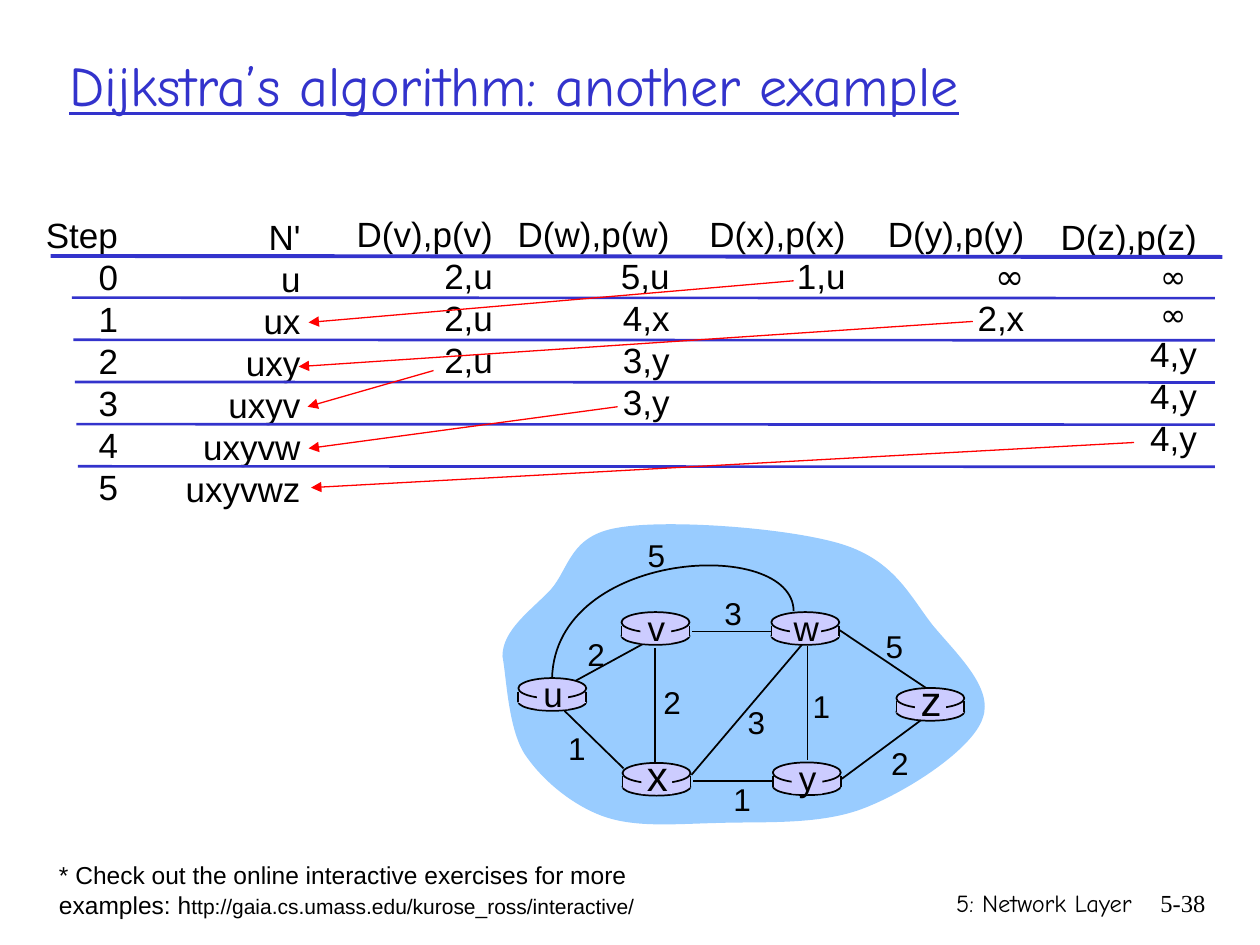
from lxml.etree import SubElement
from pptx import Presentation
from pptx.dml.color import RGBColor
from pptx.enum.shapes import MSO_CONNECTOR as LINE, MSO_SHAPE as SHAPE
from pptx.enum.text import MSO_ANCHOR as ANCHOR, MSO_AUTO_SIZE as FIT, PP_ALIGN as ALIGN
from pptx.oxml.ns import qn
from pptx.util import Cm, Pt

BLUE = RGBColor(0x33, 0x33, 0xCC)
BLACK = RGBColor(0, 0, 0)
RED = RGBColor(0xFF, 0, 0)
SKY = RGBColor(0x99, 0xCC, 0xFF)
LILAC = RGBColor(0xCC, 0xCC, 0xFF)
COMIC = "Comic Neue"

deck = Presentation()
deck.slide_width, deck.slide_height = Cm(25.4), Cm(19.05)
slide = deck.slides.add_slide(deck.slide_layouts[5])
shapes = slide.shapes


def write_text(text, left, top, width, height, size=20, font="Arial",
               align=ALIGN.CENTER, wrap=False):
    frame = shapes.add_textbox(Cm(left), Cm(top), Cm(width), Cm(height)).text_frame
    frame.word_wrap = wrap
    frame.auto_size = FIT.NONE if wrap else FIT.SHAPE_TO_FIT_TEXT
    frame.text = text
    for paragraph in frame.paragraphs:
        paragraph.alignment = align
        paragraph.line_spacing = Pt(1.2 * size)
        for run in paragraph.runs:
            run.font.size, run.font.name = Pt(size), font
            run.font.color.rgb = BLACK
    return frame


def draw_line(x1, y1, x2, y2, color=BLACK, weight=1, arrow=False):
    line = shapes.add_connector(LINE.STRAIGHT, Cm(x1), Cm(y1), Cm(x2), Cm(y2))
    line.line.color.rgb, line.line.width = color, Pt(weight)
    if arrow:
        SubElement(line.line._get_or_add_ln(), qn("a:tailEnd"), type="triangle")
    SubElement(line._element.spPr, qn("a:effectLst"))


# Title
title = shapes.title
title.left, title.top, title.width, title.height = Cm(1.14), Cm(0.36), Cm(23.85), Cm(2.67)
title.text_frame.text = "Dijkstra’s algorithm: another example"
title.text_frame.vertical_anchor = ANCHOR.MIDDLE
heading = title.text_frame.paragraphs[0]
heading.alignment = ALIGN.LEFT
heading_font = heading.runs[0].font
heading_font.size, heading_font.name, heading_font.underline = Pt(32), COMIC, True
heading_font.color.rgb = BLUE

# Columns of the step table
columns = [
    (0.67, 4.18, 1.96, ["Step", "0", "1", "2", "3", "4", "5"]),
    (3.49, 4.21, 2.82, ["N'", "u", "ux", "uxy", "uxyv", "uxyvw", "uxyvwz"]),
    (6.94, 4.16, 3.25, ["D(v),p(v)", "2,u", "2,u", "2,u"]),
    (9.95, 4.16, 3.8, ["D(w),p(w)", "5,u", "4,x", "3,y", "3,y"]),
    (14.05, 4.16, 3.25, ["D(x),p(x)", "1,u"]),
    (17.65, 4.16, 3.25, ["D(y),p(y)", "∞", "2,x"]),
    (21.13, 4.21, 3.25, ["D(z),p(z)", "∞ ", "∞ ", "4,y", "4,y", "4,y"]),
]
for left, top, width, entries in columns:
    column = write_text("\n".join(entries), left, top, width,
                        0.25 + 0.85 * len(entries), align=ALIGN.RIGHT)
    for entry in column.paragraphs:
        if "∞" in entry.text:
            entry.runs[0].font.name = COMIC
        if entry.text == "∞ ":
            entry.runs[0].font.size = Pt(18)
            entry.line_spacing = Pt(21.6)

# Rules under the header and the steps
draw_line(1.02, 5.16, 24.64, 5.18, BLUE, 2.25)
for step in range(5):
    y = 6 + 0.85 * step
    draw_line(1.45 + 0.03 * step, y, 24.49, y + 0.01, BLUE, 1.5)

# Network cloud and the curved u-w link: a start, then three points per cubic curve
cloud = [(10.13, 13.23),
         (10.13, 12.7), (10.69, 12.32), (11.1, 11.89),
         (11.48, 11.46), (11.48, 10.8), (12.45, 10.64),
         (13.44, 10.46), (15.9, 10.64), (16.97, 10.97),
         (18.03, 11.3), (18.34, 12.01), (18.8, 12.6),
         (19.28, 13.18), (20.04, 13.87), (19.81, 14.48),
         (19.61, 15.09), (18.34, 15.93), (17.45, 16.28),
         (16.56, 16.64), (15.39, 16.56), (14.5, 16.59),
         (13.61, 16.61), (12.83, 16.69), (12.17, 16.46),
         (11.53, 16.23), (10.92, 15.72), (10.57, 15.19),
         (10.24, 14.66), (10.21, 13.64), (10.13, 13.23)]
arc = [(16, 12.32), (15.98, 10.82), (11.2, 11.07), (11.13, 13.67)]
for curve, closed in [(cloud, True), (arc, False)]:
    start, *controls = [(Cm(x), Cm(y)) for x, y in curve]
    builder = shapes.build_freeform(*start)
    builder.add_line_segments(controls, close=closed)
    outline = builder.convert_to_shape()
    outline.shadow.inherit = False
    segments = list(outline._element.iter(qn("a:lnTo")))
    for first, second, third in zip(segments[::3], segments[1::3], segments[2::3]):
        first.tag = qn("a:cubicBezTo")
        for segment in (second, third):
            first.append(segment[0])
            segment.getparent().remove(segment)
    if closed:
        outline.fill.solid()
        outline.fill.fore_color.rgb = SKY
        outline.line.fill.background()
    else:
        outline.fill.background()
        outline.line.color.rgb, outline.line.width = BLACK, Pt(1)

# Straight links
links = [
    (11.61, 13.72, 13.11, 12.9), (16.28, 13.03, 16.28, 15.32),
    (13.21, 13.06, 13.21, 15.42), (13.94, 15.62, 16.18, 12.98),
    (16.97, 15.7, 18.59, 14.5), (15.6, 15.75, 13.97, 15.75),
    (12.57, 15.49, 11.38, 14.33), (15.57, 12.73, 13.94, 12.73),
    (18.67, 13.87, 16.92, 12.7),
]
for link in links:
    draw_line(*link)

# Routers: base, body, lid, a patch behind the letter, and the letter
routers = [("u", 10.45, 13.67, 20, 0.24), ("x", 12.55, 15.38, 24, 0.39),
           ("v", 12.53, 12.34, 20, 0.24), ("w", 15.55, 12.34, 20, 0.24),
           ("y", 15.58, 15.37, 20, 0.24), ("z", 18.07, 13.87, 24, 0.39)]
router_parts = [(SHAPE.OVAL, 0, 0.3, 1.37, 0.36), (SHAPE.RECTANGLE, 0, 0.27, 1.37, 0.23),
                (SHAPE.OVAL, 0, 0, 1.37, 0.41), (SHAPE.RECTANGLE, 0.38, 0.05, 0.62, 0.58)]
for letter, left, top, size, rise in routers:
    for outline, dx, dy, width, height in router_parts:
        part = shapes.add_shape(outline, Cm(left + dx), Cm(top + dy), Cm(width), Cm(height))
        part.shadow.inherit = False
        part.fill.solid()
        part.fill.fore_color.rgb = LILAC
        if outline == SHAPE.OVAL:
            part.line.color.rgb, part.line.width = BLACK, Pt(1)
        else:
            part.line.fill.background()
    for side in (left, left + 1.37):
        draw_line(side, top + 0.27, side, top + 0.49)
    write_text(letter, left + 0.2, top - rise, 1, 0.25 + 0.0423 * size, size)

# Link costs
costs = [("2", 11.59, 12.67), ("2", 13.12, 13.64), ("1", 11.2, 14.58), ("3", 14.82, 14.05),
         ("1", 14.53, 15.6), ("1", 16.13, 13.72), ("2", 17.71, 14.88), ("5", 17.6, 12.52),
         ("3", 14.35, 11.85), ("5", 12.8, 10.68)]
for cost, left, top in costs:
    write_text(cost, left, top, 0.86, 1.02, size=18)

# Arrows from each chosen distance to the next set N'
choices = [(16, 5.66, 6.22, 6.5), (19.61, 6.48, 6.02, 7.39), (8.74, 7.47, 6.2, 8.2),
           (12.45, 8.2, 6.22, 9.04), (22.86, 8.92, 6.27, 9.83)]
for choice in choices:
    draw_line(*choice, RED, 0.75, arrow=True)

# Footnote and footer
footnote = write_text("* Check out the online interactive exercises for more examples: h",
                      0.94, 17.22, 12.52, 1.45, size=14, align=ALIGN.LEFT, wrap=True)
address = footnote.paragraphs[0].add_run()
address.text = "ttp://gaia.cs.umass.edu/kurose_ross/interactive/"
address.font.size, address.font.name = Pt(12), "Arial"
address.font.color.rgb = BLACK
write_text("5: Network Layer", 15.02, 17.78, 8.05, 1.27, size=14, font=COMIC,
           align=ALIGN.RIGHT, wrap=True)
write_text("5-38", 22.67, 17.78, 1.88, 1.27, size=14, font="Times New Roman",
           align=ALIGN.RIGHT, wrap=True)

deck.save("out.pptx")
